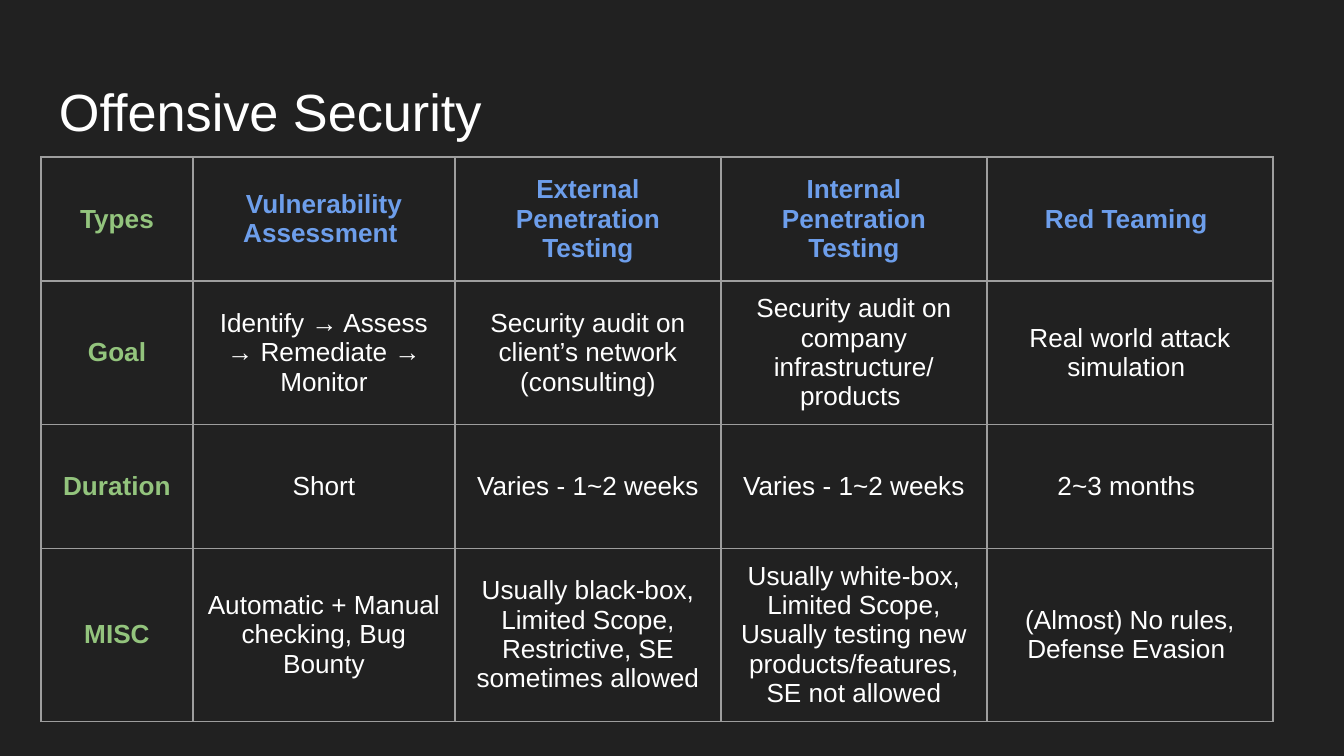
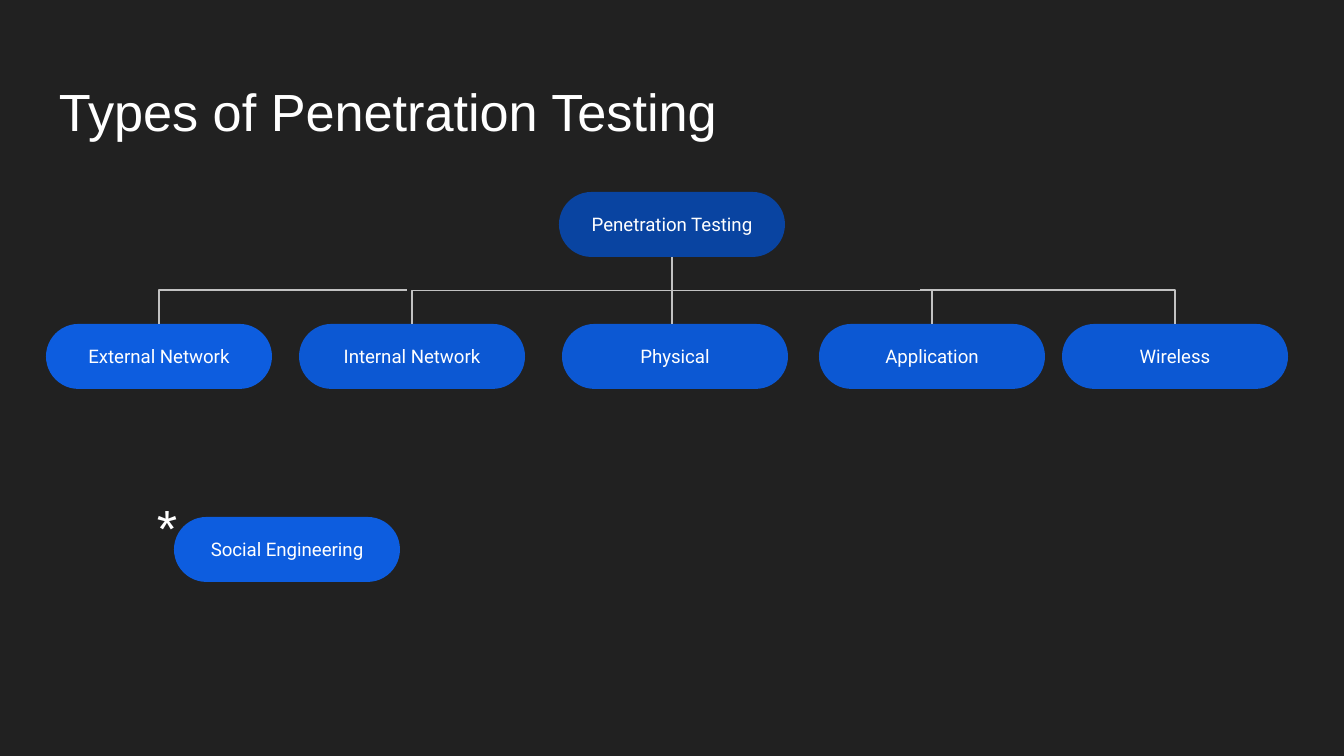
from lxml import etree
from pptx import Presentation
from pptx.dml.color import RGBColor
from pptx.enum.shapes import MSO_CONNECTOR as CONN, MSO_SHAPE
from pptx.enum.text import MSO_ANCHOR as ANCHOR, MSO_AUTO_SIZE as AUTO, PP_ALIGN as ALIGN
from pptx.oxml import parse_xml
from pptx.oxml.ns import nsdecls, qn
from pptx.util import Emu, Pt

SLIDE_W, SLIDE_H = 1344, 756
BACKGROUND = RGBColor(0x21, 0x21, 0x21)
WHITE = RGBColor(0xFF, 0xFF, 0xFF)
GREEN = RGBColor(0x93, 0xC4, 0x7D)
HEADER_BLUE = RGBColor(0x6D, 0x9E, 0xEB)
GRID = "9E9E9E"
ROOT_BLUE = RGBColor(0x09, 0x44, 0xA1)
BRANCH_BLUE = RGBColor(0x0C, 0x58, 0xD3)
BRIGHT_BLUE = RGBColor(0x0D, 0x5D, 0xDF)
LINE_GREY = RGBColor(0xC2, 0xC2, 0xC2)


def px(n):
    return Emu(round(n * 9144000 / SLIDE_W))


def style_text(tf, font, size, color, align, anchor, bold=False):
    tf.word_wrap = True
    tf.vertical_anchor = anchor
    tf.margin_left = tf.margin_right = tf.margin_top = tf.margin_bottom = px(13)
    p = tf.paragraphs[0]
    p.alignment = align
    for r in p.runs:
        r.font.name, r.font.size, r.font.bold = font, Pt(size), bold
        r.font.color.rgb = color


prs = Presentation()
prs.slide_width, prs.slide_height = px(SLIDE_W), px(SLIDE_H)
fill = prs.slide_master.background.fill
fill.solid()
fill.fore_color.rgb = BACKGROUND

slides = []
for title in ("Offensive Security", "Types of Penetration Testing"):
    s = prs.slides.add_slide(prs.slide_layouts[5])
    sp = s.shapes.title
    sp.left, sp.top, sp.width, sp.height = px(46), px(66), px(1252), px(84)
    sp.text_frame.text = title
    sp.text_frame.auto_size = AUTO.NONE
    style_text(sp.text_frame, "Arial", 28, WHITE, ALIGN.LEFT, ANCHOR.TOP)
    slides.append(s)
table_slide, tree_slide = slides

# Comparison table
ROWS = [
    ["Types", "Vulnerability Assessment ", "External Penetration Testing",
     "Internal Penetration Testing", "Red Teaming "],
    ["Goal", "Identify → Assess → Remediate → Monitor",
     "Security audit on client’s network (consulting)",
     "Security audit on company infrastructure/ products ",
     "Real world attack simulation "],
    ["Duration", "Short", "Varies - 1~2 weeks", "Varies - 1~2 weeks", "2~3 months "],
    ["MISC", "Automatic + Manual checking, Bug Bounty",
     "Usually black-box, Limited Scope, Restrictive, SE sometimes allowed",
     "Usually white-box, Limited Scope, Usually testing new products/features, SE not allowed",
     "(Almost) No rules, Defense Evasion "],
]
COL_WIDTHS = [152, 262, 266, 266, 286]
ROW_H = 124

table = table_slide.shapes.add_table(
    len(ROWS), len(COL_WIDTHS), px(41), px(157),
    px(sum(COL_WIDTHS)), px(ROW_H * len(ROWS))).table
table.first_row = table.horz_banding = False
for col, width in zip(table.columns, COL_WIDTHS):
    col.width = px(width)
for i, texts in enumerate(ROWS):
    table.rows[i].height = px(ROW_H)
    for j, text in enumerate(texts):
        cell = table.cell(i, j)
        cell.text_frame.text = text
        color = GREEN if j == 0 else HEADER_BLUE if i == 0 else WHITE
        style_text(cell.text_frame, "Arial", 14, color, ALIGN.CENTER,
                   ANCHOR.MIDDLE, bold=color != WHITE)
        cell.vertical_anchor = ANCHOR.MIDDLE
        cell.margin_left = cell.margin_right = px(13)
        cell.margin_top = cell.margin_bottom = px(13)
        cell.fill.background()
        tc_pr = cell._tc.get_or_add_tcPr()
        for k, side in enumerate(("lnL", "lnR", "lnT", "lnB")):
            tc_pr.insert(k, parse_xml(
                f'<a:{side} {nsdecls("a")} w="{Pt(0.75)}"><a:solidFill>'
                f'<a:srgbClr val="{GRID}"/></a:solidFill></a:{side}>'))

# Tree of test types
NODE_W, NODE_H = 226, 65
ROOT_Y, BUS_Y, BRANCH_Y = 192, 290, 324
CENTER_X = SLIDE_W // 2
ROOT_BOTTOM = ROOT_Y + NODE_H
NODES = [
    ("Penetration Testing", CENTER_X - NODE_W // 2, ROOT_Y, ROOT_BLUE),
    ("External Network", 46, BRANCH_Y, BRIGHT_BLUE),
    ("Internal Network", 299, BRANCH_Y, BRANCH_BLUE),
    ("Physical", 562, BRANCH_Y, BRANCH_BLUE),
    ("Application", 819, BRANCH_Y, BRANCH_BLUE),
    ("Wireless", 1062, BRANCH_Y, BRANCH_BLUE),
    ("Social Engineering", 174, 517, BRIGHT_BLUE),
]
middle_x = {}
for name, x, y, color in NODES:
    middle_x[name] = x + NODE_W // 2
    sp = tree_slide.shapes.add_shape(
        MSO_SHAPE.ROUNDED_RECTANGLE, px(x), px(y), px(NODE_W), px(NODE_H))
    sp.adjustments[0] = 0.5
    sp.shadow.inherit = False
    sp.fill.solid()
    sp.fill.fore_color.rgb = color
    sp.line.fill.background()
    sp.text_frame.text = name
    style_text(sp.text_frame, "Roboto", 10, WHITE, ALIGN.CENTER, ANCHOR.MIDDLE)

# Start, end, preset; a turned elbow leaves its start vertically
LINKS = [
    (CENTER_X, ROOT_BOTTOM, middle_x["Application"], BRANCH_Y, "bentConnector3", True),
    (middle_x["Internal Network"], BRANCH_Y, CENTER_X, ROOT_BOTTOM, "bentConnector3", True),
    (middle_x["External Network"], BRANCH_Y, 407, BUS_Y, "bentConnector2", True),
    (920, BUS_Y, middle_x["Wireless"], BRANCH_Y, "bentConnector2", False),
    (CENTER_X, BRANCH_Y, CENTER_X, BUS_Y, "line", False),
]
for x1, y1, x2, y2, preset, turned in LINKS:
    if turned:
        cx, cy, dx, dy = (x1 + x2) / 2, (y1 + y2) / 2, x2 - x1, y2 - y1
        x1, y1, x2, y2 = cx + dy / 2, cy - dx / 2, cx - dy / 2, cy + dx / 2
    kind = CONN.STRAIGHT if preset == "line" else CONN.ELBOW
    link = tree_slide.shapes.add_connector(kind, px(x1), px(y1), px(x2), px(y2))
    link.line.color.rgb = LINE_GREY
    link.line.width = Pt(0.75)
    sp_pr = link._element.spPr
    sp_pr.find(qn("a:prstGeom")).set("prst", preset)
    if turned:
        sp_pr.find(qn("a:xfrm")).set("rot", str(270 * 60000))
    etree.SubElement(sp_pr, qn("a:effectLst"))

star = tree_slide.shapes.add_textbox(px(144), px(482), px(31), px(90))
star.text_frame.text = "*"
style_text(star.text_frame, "Arial", 28, WHITE, ALIGN.LEFT, ANCHOR.TOP)
star.text_frame.auto_size = AUTO.SHAPE_TO_FIT_TEXT

prs.save("out.pptx")
